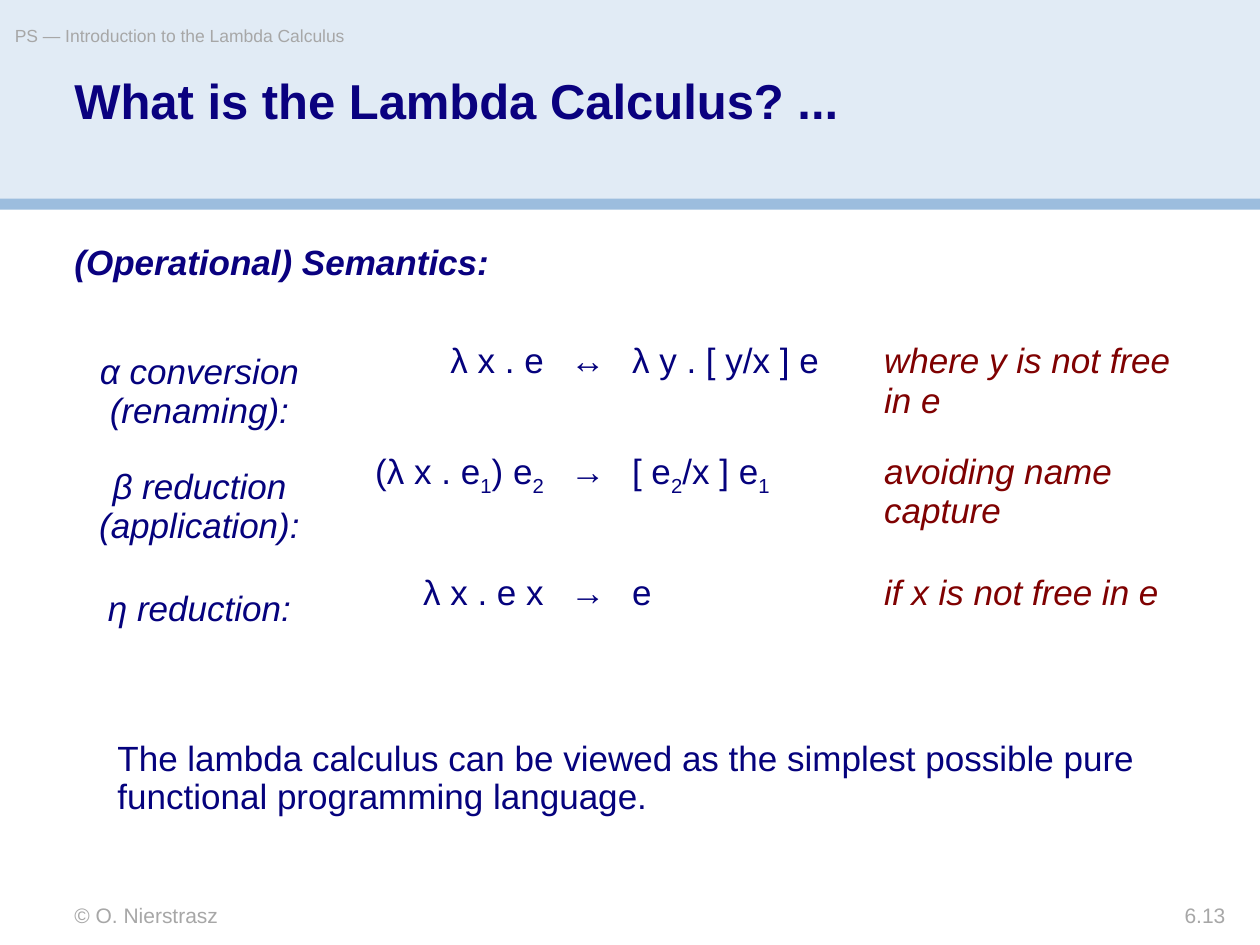
"""Build the lambda calculus slide on operational semantics."""
import lxml.etree
import pptx
import pptx.dml.color
import pptx.enum.shapes
import pptx.enum.text
import pptx.oxml.ns
import pptx.util

Pt = pptx.util.Pt
RGBColor = pptx.dml.color.RGBColor
ALIGN = pptx.enum.text.PP_ALIGN
ANCHOR = pptx.enum.text.MSO_ANCHOR

PALE_BLUE = RGBColor(0xE1, 0xEB, 0xF5)
STRIP_BLUE = RGBColor(0x9C, 0xBD, 0xDE)
GREY = RGBColor(0xA7, 0xA7, 0xA7)
TITLE_NAVY = RGBColor(0x0A, 0x01, 0x7F)
NAVY = RGBColor(0x05, 0x02, 0x7D)
DARK_RED = RGBColor(0x7F, 0x01, 0x01)


def style(paragraph, size, color, align=ALIGN.LEFT, bold=False, italic=False):
    paragraph.alignment = align
    font = paragraph.font
    font.name = "Arial"
    font.size = Pt(size)
    font.bold = bold
    font.italic = italic
    font.color.rgb = color


def set_box(shape, box, anchor=ANCHOR.TOP, margins=(0, 0), wrap=True):
    shape.left, shape.top, shape.width, shape.height = [Pt(n) for n in box]
    frame = shape.text_frame
    frame.auto_size = pptx.enum.text.MSO_AUTO_SIZE.NONE
    frame.word_wrap = wrap
    frame.vertical_anchor = anchor
    frame.margin_left = frame.margin_right = Pt(margins[0])
    frame.margin_top = frame.margin_bottom = Pt(margins[1])
    return frame.paragraphs[0]


presentation = pptx.Presentation()
presentation.slide_width = Pt(720)
presentation.slide_height = Pt(540)
slide = presentation.slides.add_slide(presentation.slide_layouts[1])
shapes = slide.shapes

for top, height, color in [(0, 113.5, PALE_BLUE), (113, 6.8, STRIP_BLUE)]:
    band = shapes.add_shape(
        pptx.enum.shapes.MSO_SHAPE.RECTANGLE, 0, Pt(top), Pt(720), Pt(height)
    )
    band.shadow.inherit = False
    band.fill.solid()
    band.fill.fore_color.rgb = color
    band.line.fill.background()
    shapes._spTree.remove(band._element)
    shapes._spTree.insert_element_before(band._element, "p:sp")

title = set_box(shapes.title, (42.5, 44, 636, 64))
title.text = "What is the Lambda Calculus? ..."
title.line_spacing = 0.9
style(title, 28, TITLE_NAVY, bold=True)

heading = set_box(slide.placeholders[1], (42.5, 130.3, 635, 40.3), ANCHOR.MIDDLE)
heading.text = "(Operational) Semantics:"
heading.line_spacing = 0.95
heading.space_before = Pt(0)
heading_properties = heading._p.get_or_add_pPr()
heading_properties.set("marL", "0")
heading_properties.set("indent", "0")
lxml.etree.SubElement(heading_properties, pptx.oxml.ns.qn("a:buNone"))
style(heading, 20, TITLE_NAVY, bold=True, italic=True)

furniture = [
    ("© O. Nierstrasz", (42.5, 515.8, 300, 14.5), 12, ALIGN.LEFT, True),
    ("PS — Introduction to the Lambda Calculus", (8.5, 14.5, 425, 20), 10, ALIGN.LEFT, False),
    ("6.13", (594, 516, 106.3, 14.5), 12, ALIGN.RIGHT, True),
]
for text, box, size, align, wrap in furniture:
    label = set_box(shapes.add_textbox(0, 0, 0, 0), box, wrap=wrap)
    label.text = text
    style(label, size, GREY, align)

conclusion = set_box(
    shapes.add_textbox(0, 0, 0, 0), (60, 420, 630, 50.5), margins=(7.2, 3.6)
)
conclusion.text = (
    "The lambda calculus can be viewed as the simplest possible pure "
    "functional programming language."
)
conclusion.line_spacing = 0.9
style(conclusion, 20, NAVY)

rules = [
    ("α conversion (renaming):", "λ x . e", "↔", "λ y . [ y/x ] e", "where y is not free in e"),
    ("β reduction (application):", "(λ x . e_1) e_2", "→", "[ e_2/x ] e_1", "avoiding name capture"),
    ("η reduction:", "λ x . e x", "→", "e", "if x is not free in e"),
]
row_heights = [63.4, 69, 47.6]
column_widths = [156, 126, 36, 144, 180]
column_styles = [
    (ALIGN.CENTER, NAVY, True),
    (ALIGN.RIGHT, NAVY, False),
    (ALIGN.CENTER, NAVY, False),
    (ALIGN.LEFT, NAVY, False),
    (ALIGN.LEFT, DARK_RED, True),
]
semantics = shapes.add_table(
    len(rules), len(column_widths), Pt(36), Pt(192),
    Pt(sum(column_widths)), Pt(sum(row_heights)),
).table
semantics.first_row = False
semantics.horz_banding = False
for column, width in zip(semantics.columns, column_widths):
    column.width = Pt(width)
for row, height, rule in zip(semantics.rows, row_heights, rules):
    row.height = Pt(height)
    for index, (cell, text) in enumerate(zip(row.cells, rule)):
        align, color, italic = column_styles[index]
        cell.fill.background()
        cell.vertical_anchor = ANCHOR.MIDDLE if index == 0 else ANCHOR.TOP
        paragraph = cell.text_frame.paragraphs[0]
        style(paragraph, 20, color, align, italic=italic)
        base, *subscripted = text.split("_")
        paragraph.add_run().text = base
        for part in subscripted:
            subscript = paragraph.add_run()
            subscript.text = part[0]
            subscript._r.get_or_add_rPr().set("baseline", "-25000")
            if part[1:]:
                paragraph.add_run().text = part[1:]

presentation.save("out.pptx")
